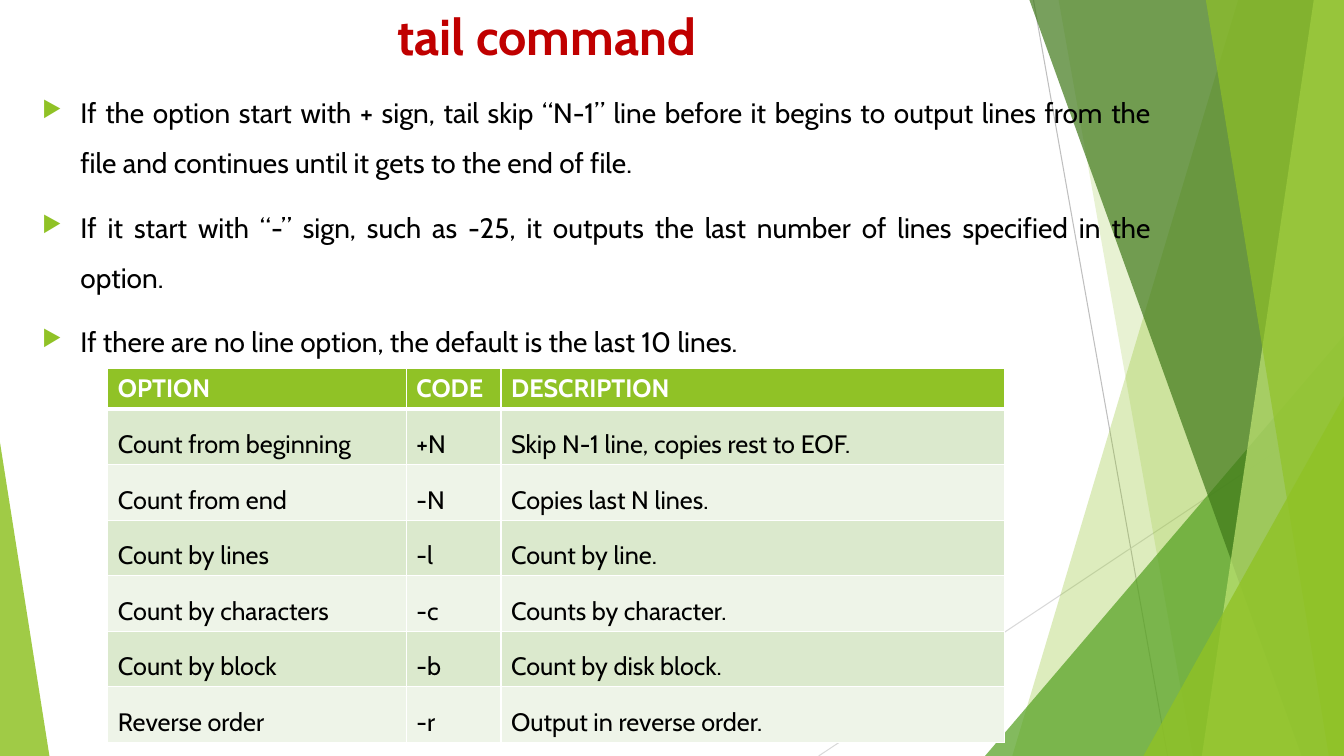
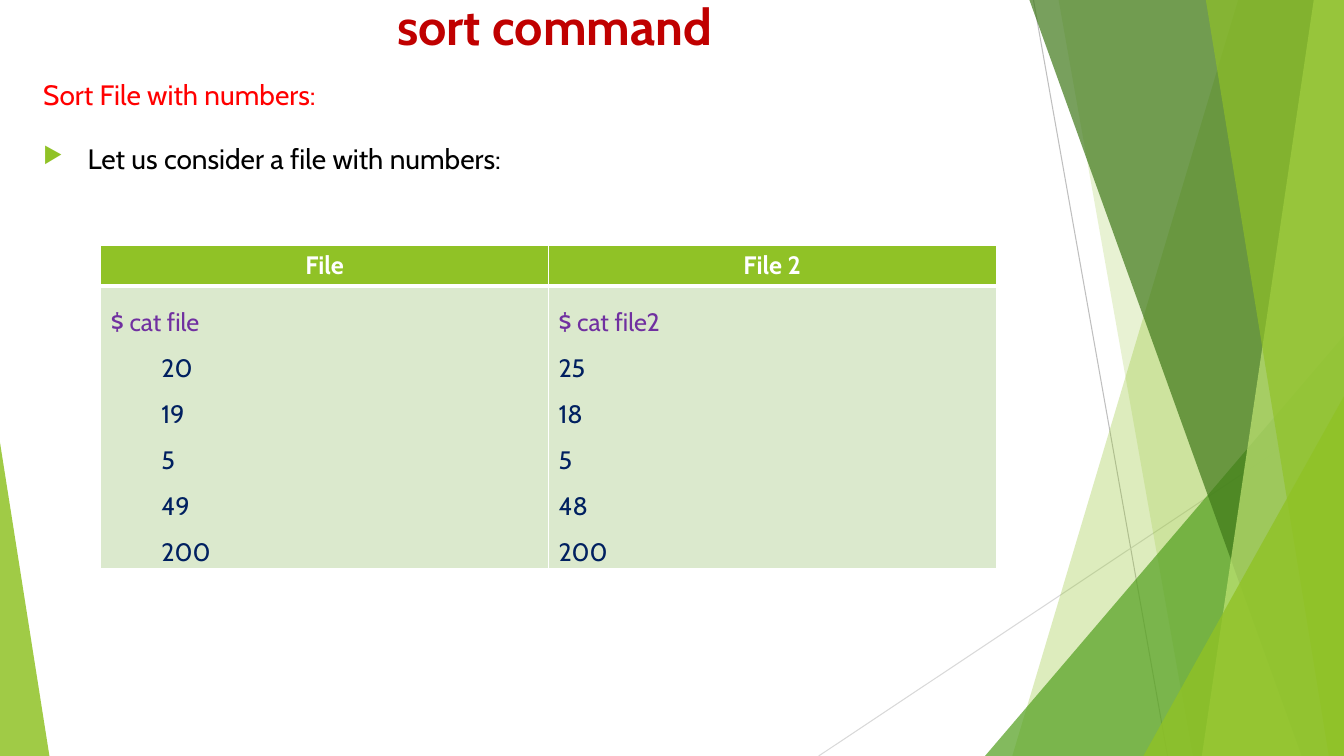
from pptx import Presentation, util as u
from pptx.dml.color import RGBColor
from pptx.enum import shapes, text
from pptx.oxml import ns
from lxml import etree

In, Pt = u.Inches, u.Pt
LEFT, CENTER, JUSTIFY = text.PP_ALIGN.LEFT, text.PP_ALIGN.CENTER, text.PP_ALIGN.JUSTIFY
FONT = "Cabin"
GREEN, BLACK, WHITE = "90C226", "000000", "FFFFFF"
TITLE_RED, RED, PURPLE, NAVY = "C00000", "FF0000", "7030A0", "002060"
BANDS = ["DBE9CD", "EEF4E8"]
WIDTH, HEIGHT = 13.33, 7.5


def paint(fill, color, opacity=100):
    fill.solid()
    fill.fore_color.rgb = RGBColor.from_string(color)
    if opacity < 100:
        tint = fill._xPr.find(ns.qn("a:solidFill"))[0]
        etree.SubElement(tint, ns.qn("a:alpha"), val=str(opacity * 1000))


def style(paragraph, size, color, bold=False, align=LEFT, spacing=None, indent=0, bullet=False):
    paragraph.alignment = align
    paragraph.line_spacing = spacing
    props = paragraph._p.get_or_add_pPr()
    if indent:
        props.set("marL", str(In(indent)))
    if bullet:
        props.set("indent", str(-In(indent)))
        tone = etree.SubElement(props, ns.qn("a:buClr"))
        etree.SubElement(tone, ns.qn("a:srgbClr"), val=GREEN)
        etree.SubElement(props, ns.qn("a:buSzPct"), val="80000")
        etree.SubElement(props, ns.qn("a:buChar"), char="▶")
    for run in paragraph.runs:
        run.font.name = FONT
        run.font.size = Pt(size)
        run.font.bold = bold
        run.font.color.rgb = RGBColor.from_string(color)


rays = [
    ("BFBFBF", 10.25, 0, 11.58, HEIGHT),
    ("D9D9D9", WIDTH, 4.03, 8.12, HEIGHT),
]
# kind, colour, opacity and geometry are listed from back to front
facets = [
    ("band", GREEN, 30, (12.28, 10.04)),
    ("band", GREEN, 20, (10.5, 11.83)),
    ("corner", "54A021", 72, (9.77, 3.33, 3.56, 1)),
    ("band", "3F7819", 70, (10.21, 12.91)),
    ("band", "C0E474", 70, (13.03, 11.92)),
    ("band", GREEN, 65, (11.96, 13.18)),
    ("corner", GREEN, 80, (11.34, 3.93, 1.99, 1)),
    ("corner", GREEN, 85, (0, 4.39, 0.49, 0)),
]

option_rows = [
    ("Count from beginning", "+N", "Skip N-1 line, copies rest to EOF."),
    ("Count from end", "-N", "Copies last N lines."),
    ("Count by lines", "-l", "Count by line."),
    ("Count by characters", "-c", "Counts by character."),
    ("Count by block", "-b", "Count by disk block."),
    ("Reverse order", "-r", "Output in reverse order."),
]
pages = [
    {
        "title": "tail command", "title_top": 0, "body_at": (0.32, 0.73),
        "body": [
            (line, BLACK, 0.38, True) for line in (
                "If the option start with + sign, tail skip “N-1” line before it begins to "
                "output lines from the file and continues until it gets to the end of file.",
                "If it start with “-” sign, such as -25, it outputs the last number of lines "
                "specified in the option.",
                "If there are no line option, the default is the last 10 lines.",
            )
        ],
        "table_at": (1.07, 3.65), "columns": (2.96, 0.94, 4.99), "row_height": 0.55,
        "head": ("OPTION", "CODE", "DESCRIPTION"), "head_align": LEFT,
        "rows": [[[(entry, BLACK, 0)] for entry in row] for row in option_rows],
    },
    {
        "title": "sort command", "title_top": -0.1, "body_at": (0.33, 0.55),
        "body": [
            ("Sort File with numbers:", RED, 0, False),
            ("Let us consider a file with numbers:", BLACK, 0.44, True),
        ],
        "table_at": (1, 2.43), "columns": (4.44, 4.44), "row_height": 2.8,
        "head": ("File", "File 2"), "head_align": CENTER,
        "rows": [[
            [(command, PURPLE, 0)] + [(number, NAVY, indent) for number in numbers.split()]
            for command, numbers, indent in (
                ("$ cat file", "20 19 5 49 200", 0.5),
                ("$ cat file2", "25 18 5 48 200", 0),
            )
        ]],
    },
]

deck = Presentation()
deck.slide_width, deck.slide_height = In(WIDTH), In(HEIGHT)

for page in pages:
    slide = deck.slides.add_slide(deck.slide_layouts[6])

    for color, x1, y1, x2, y2 in rays:
        ray = slide.shapes.add_connector(
            shapes.MSO_CONNECTOR.STRAIGHT, In(x1), In(y1), In(x2), In(y2))
        paint(ray.line.fill, color)
        ray.line.width = Pt(0.75)
        etree.SubElement(ray._element.spPr, ns.qn("a:effectLst"))

    for kind, color, opacity, geometry in facets:
        if kind == "band":
            top_x, bottom_x = geometry
            outline = slide.shapes.build_freeform(In(top_x), 0, scale=1.0)
            outline.add_line_segments([
                (In(WIDTH), 0), (In(WIDTH), In(HEIGHT)), (In(bottom_x), In(HEIGHT))])
            facet = outline.convert_to_shape()
        else:
            x, y, width, apex = geometry
            facet = slide.shapes.add_shape(
                shapes.MSO_SHAPE.ISOSCELES_TRIANGLE, In(x), In(y), In(width), In(HEIGHT - y))
            facet.adjustments[0] = apex
        facet.shadow.inherit = False
        paint(facet.fill, color, opacity)
        facet.line.fill.background()

    title = slide.shapes.add_textbox(In(3.84), In(page["title_top"]), In(4.86), In(0.73))
    title.text_frame.word_wrap = True
    title.text_frame.text = page["title"]
    style(title.text_frame.paragraphs[0], 36, TITLE_RED, bold=True)

    x, y = page["body_at"]
    body = slide.shapes.add_textbox(In(x), In(y), In(11.2), In(5.76)).text_frame
    body.word_wrap = True
    body.text = "\n".join(line for line, *_ in page["body"])
    for index, (paragraph, (_, color, indent, bullet)) in enumerate(
            zip(body.paragraphs, page["body"])):
        style(paragraph, 20, color, align=JUSTIFY, spacing=1.5, indent=indent, bullet=bullet)
        if index:
            paragraph.space_before = Pt(10)

    x, y = page["table_at"]
    columns, row_height = page["columns"], page["row_height"]
    grid = [[[(label, WHITE, 0)] for label in page["head"]]] + page["rows"]
    table = slide.shapes.add_table(
        len(grid), len(columns), In(x), In(y), In(sum(columns)),
        In(0.41 + row_height * len(page["rows"]))).table
    table.first_row = table.horz_banding = False
    for column, width in zip(table.columns, columns):
        column.width = In(width)
    for r, row in enumerate(grid):
        is_head = r == 0
        table.rows[r].height = In(0.41 if is_head else row_height)
        for c, lines in enumerate(row):
            cell = table.cell(r, c)
            cell.text_frame.text = "\n".join(line for line, *_ in lines)
            for paragraph, (_, color, indent) in zip(cell.text_frame.paragraphs, lines):
                style(paragraph, 18, color, bold=is_head, indent=indent,
                      align=page["head_align"] if is_head else LEFT,
                      spacing=None if is_head else 1.5)
            props = cell._tc.get_or_add_tcPr()
            for side in ("L", "R", "T", "B"):
                thick = (is_head and side == "B") or (r == 1 and side == "T")
                border = etree.SubElement(
                    props, ns.qn("a:ln" + side), w=str(Pt(3 if thick else 1)))
                ink = etree.SubElement(border, ns.qn("a:solidFill"))
                etree.SubElement(ink, ns.qn("a:srgbClr"), val=WHITE)
            paint(cell.fill, GREEN if is_head else BANDS[(r - 1) % 2])

deck.save("out.pptx")
